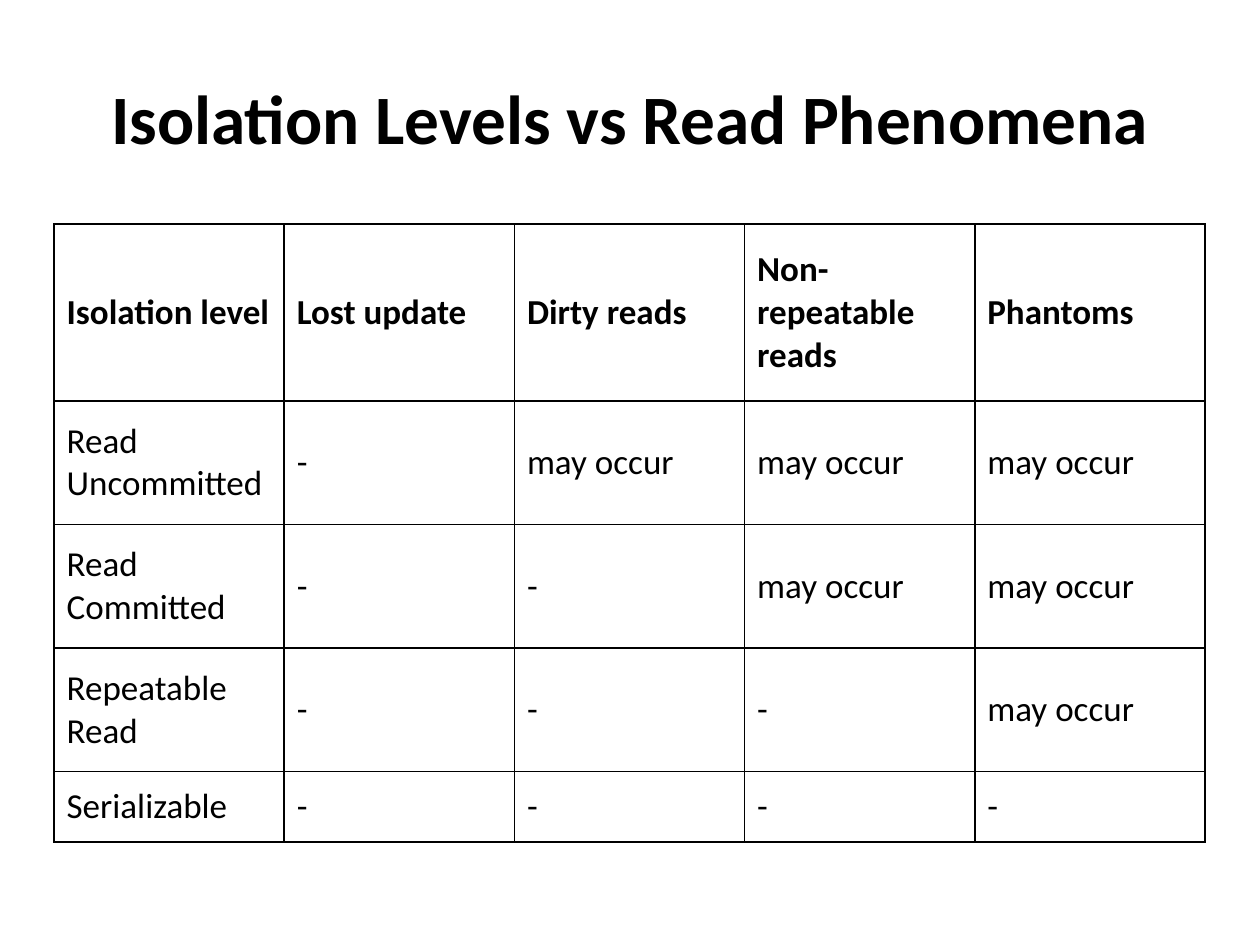
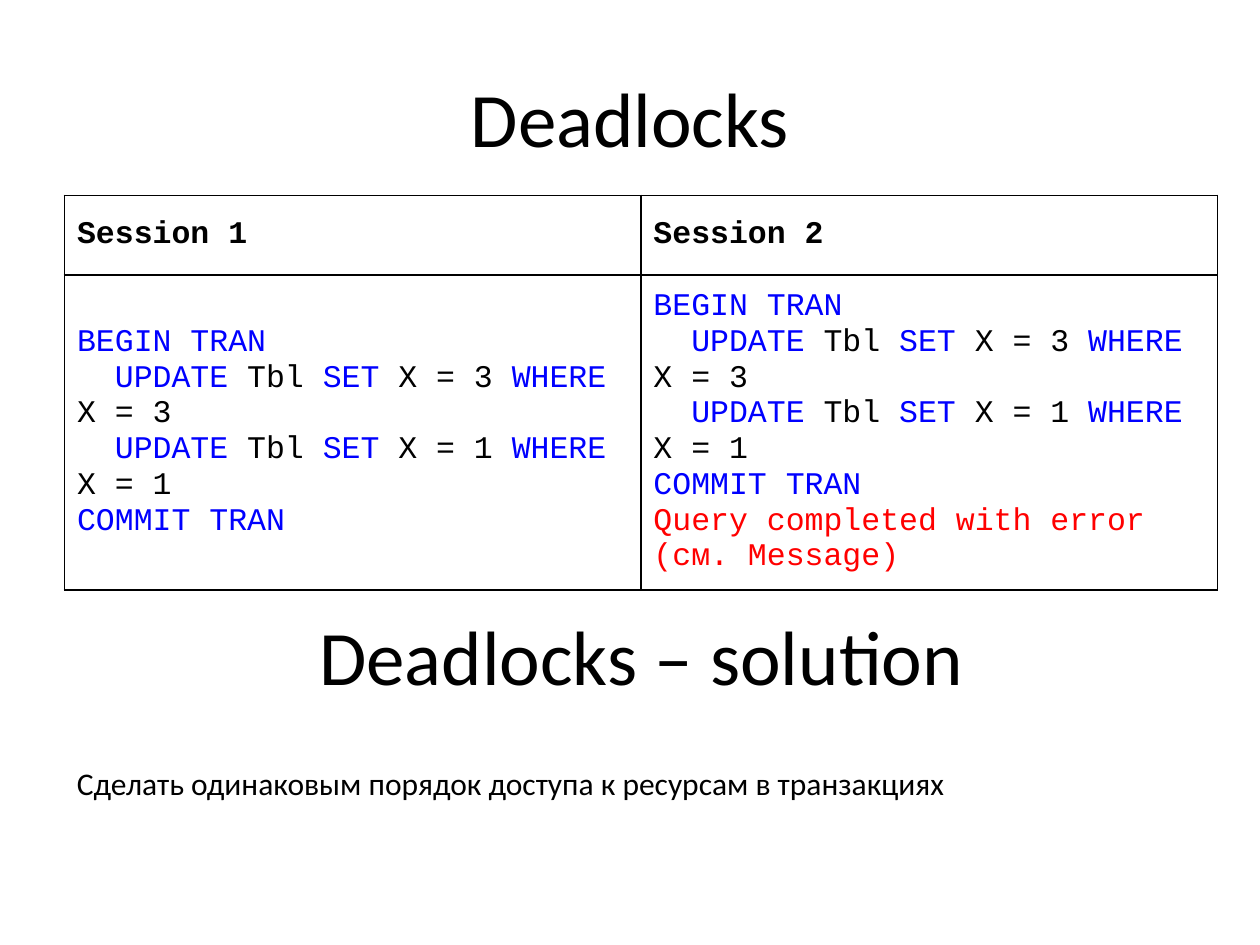
from itertools import groupby

from lxml.etree import SubElement
from pptx import Presentation
from pptx.dml.color import RGBColor
from pptx.enum.text import MSO_ANCHOR, PP_ALIGN
from pptx.oxml.ns import qn
from pptx.util import Cm, Pt

COLORS = {"text": "000000", "border": "000000", "keyword": "0000FF", "error": "FF0000"}
BODY_FONT, CODE_FONT = "Calibri", "Courier New"
TITLE_BOX = (1.27, 0.76, 22.86, 3.17)

ISOLATION_TITLE = "Isolation Levels vs Read Phenomena"
ISOLATION_ROWS = [
    ["Isolation level", "Lost update", "Dirty reads", "Non-repeatable reads", "Phantoms"],
    ["Read Uncommitted", "-", "may occur", "may occur", "may occur"],
    ["Read Committed", "-", "-", "may occur", "may occur"],
    ["Repeatable Read", "-", "-", "-", "may occur"],
    ["Serializable", "-", "-", "-", "-"],
]

DEADLOCK_TITLE = "Deadlocks"
KEYWORDS = {"BEGIN", "COMMIT", "TRAN", "UPDATE", "SET", "WHERE"}
TRANSACTION = [
    "BEGIN TRAN",
    "  UPDATE Tbl SET X = 3 WHERE X = 3",
    "  UPDATE Tbl SET X = 1 WHERE X = 1",
    "COMMIT TRAN",
]
ERROR = "Query completed with error (cм. Message)"
SESSION_ROWS = [
    ["Session 1", "Session 2"],
    ["\n".join(TRANSACTION), "\n".join(TRANSACTION + [ERROR])],
]
SOLUTION_TITLE = "Deadlocks – solution"
SOLUTION_TEXT = "Сделать одинаковым порядок доступа к ресурсам в транзакциях"


def style_run(r, size, font=BODY_FONT, color="text", bold=False):
    r.font.size = Pt(size)
    r.font.name = font
    r.font.bold = bold
    r.font.color.rgb = RGBColor.from_string(COLORS[color])


def add_text(s, box, text, size, bold=False, align=PP_ALIGN.CENTER, wrap=True):
    tf = s.shapes.add_textbox(*map(Cm, box)).text_frame
    tf.word_wrap = wrap
    tf.vertical_anchor = MSO_ANCHOR.MIDDLE
    p = tf.paragraphs[0]
    p.text = text
    p.alignment = align
    style_run(p.runs[0], size, bold=bold)


def set_borders(cell):
    tc_pr = cell._tc.get_or_add_tcPr()
    for side in ("a:lnL", "a:lnR", "a:lnT", "a:lnB"):
        ln = SubElement(tc_pr, qn(side), w=str(Pt(1)))
        fill = SubElement(ln, qn("a:solidFill"))
        SubElement(fill, qn("a:srgbClr"), val=COLORS["border"])


def add_table(s, left, top, width, heights, rows, size, font):
    """Add a bordered, unfilled table with equal columns and a bold first row."""
    frame = s.shapes.add_table(len(rows), len(rows[0]), Cm(left), Cm(top),
                               Cm(width), Cm(sum(heights)))
    table = frame.table
    table.first_row = table.horz_banding = False
    for row, height in zip(table.rows, heights):
        row.height = Cm(height)
    for i, values in enumerate(rows):
        for j, value in enumerate(values):
            cell = table.cell(i, j)
            cell.text = value
            cell.vertical_anchor = MSO_ANCHOR.MIDDLE
            set_borders(cell)
            cell.fill.background()
            for p in cell.text_frame.paragraphs:
                style_run(p.runs[0], size, font, bold=i == 0)
    return table


def highlight(p, size):
    """Split a line of SQL into coloured runs."""
    line = p.text
    p.text = ""
    if line == ERROR:
        groups = [("error", [line])]
    else:
        groups = groupby(line.split(" "),
                         lambda w: "keyword" if not w or w in KEYWORDS else "text")
    for i, (color, words) in enumerate(groups):
        r = p.add_run()
        r.text = (" " if i else "") + " ".join(words)
        style_run(r, size, CODE_FONT, color)


def isolation_slide(prs):
    s = prs.slides.add_slide(prs.slide_layouts[6])
    add_text(s, TITLE_BOX, ISOLATION_TITLE, 39.6, bold=True)
    add_table(s, 1.09, 4.52, 23.2, [3.56] + [2.49] * 3 + [1.42],
              ISOLATION_ROWS, 20, BODY_FONT)


def deadlock_slide(prs):
    s = prs.slides.add_slide(prs.slide_layouts[6])
    add_text(s, TITLE_BOX, DEADLOCK_TITLE, 44)
    table = add_table(s, 1.3, 3.94, 23.24, [1.6, 6.02], SESSION_ROWS, 18, CODE_FONT)
    for cell in table.rows[1].cells:
        for p in cell.text_frame.paragraphs:
            highlight(p, 18)
    add_text(s, (6.1, 12.14, 13.67, 2.13), SOLUTION_TITLE, 44, wrap=False)
    add_text(s, (1.3, 15.27, 18.21, 1.02), SOLUTION_TEXT, 18,
             align=PP_ALIGN.LEFT, wrap=False)


def main():
    prs = Presentation()
    prs.slide_width, prs.slide_height = Cm(25.4), Cm(19.05)
    isolation_slide(prs)
    deadlock_slide(prs)
    prs.save("out.pptx")


if __name__ == "__main__":
    main()
